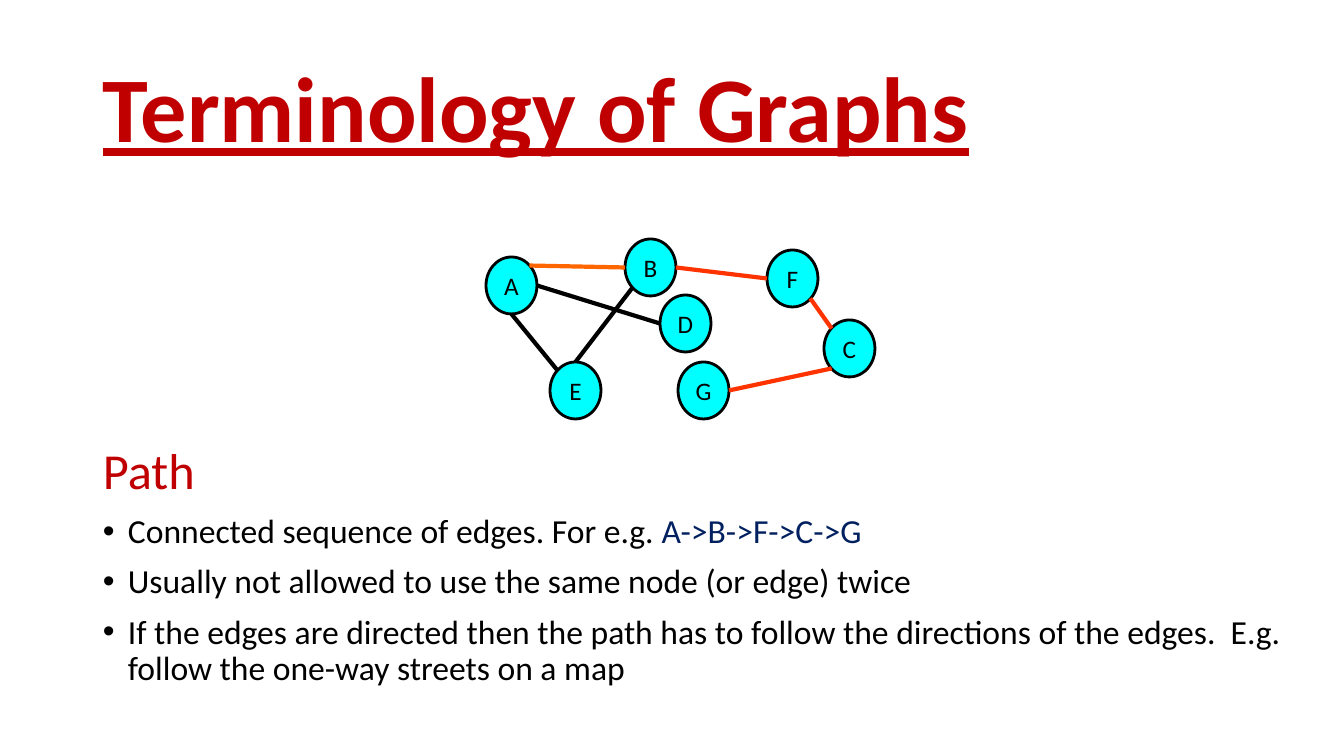
from lxml import etree
from pptx import Presentation
from pptx.dml.color import RGBColor
from pptx.enum.shapes import MSO_CONNECTOR, MSO_SHAPE
from pptx.enum.text import MSO_ANCHOR, PP_ALIGN
from pptx.oxml.ns import qn
from pptx.util import Pt

LINE = MSO_CONNECTOR.STRAIGHT
OVAL = MSO_SHAPE.OVAL
MIDDLE, TOP = MSO_ANCHOR.MIDDLE, MSO_ANCHOR.TOP
CENTER = PP_ALIGN.CENTER

FONT = "Calibri"
BLACK, RED, NAVY, CYAN = "000000", "C00000", "002060", "00FFFF"
VERMILION, ORANGE = "FF3300", "FF6600"

TITLE = "Terminology of Graphs"
HEADING = "Path"
BULLETS = [
    [("Connected sequence of edges. For e.g. ", BLACK), ("A->B->F->C->G", NAVY)],
    [("Usually not allowed to use the same node (or edge) twice", BLACK)],
    [("If the edges are directed then the path has to follow the directions of "
      "the edges.  E.g. follow the one-way streets on a map", BLACK)],
]
NODES = {  # left, top in px
    "B": (625, 239), "C": (824, 320), "D": (660, 295), "E": (550, 362),
    "F": (767, 250), "G": (678, 362), "A": (486, 257),
}
EDGES = [
    ("A", "right", "D", "left", BLACK),
    ("B", "bottom left", "E", "top", BLACK),
    ("B", "right", "F", "left", VERMILION),
    ("F", "bottom right", "C", "top left", VERMILION),
    ("A", "bottom", "E", "top left", BLACK),
    ("A", "top right", "B", "left", ORANGE),
    ("C", "bottom left", "G", "right", VERMILION),
]
NODE_WIDTH, NODE_HEIGHT = 51, 57
# Points on the rim of an oval, as shares of its width and height
RIM = {
    "left": (0, 0.5), "right": (1, 0.5), "top": (0.5, 0), "bottom": (0.5, 1),
    "top left": (0.15, 0.15), "top right": (0.85, 0.15),
    "bottom left": (0.15, 0.85), "bottom right": (0.85, 0.85),
}
BULLET_INDENT = 25


def px(length):
    return round(length * 914400 / 100.8)


def color(hex_code):
    return RGBColor.from_string(hex_code)


def set_font(font, size, hex_code):
    font.name, font.size = FONT, Pt(size)
    font.color.rgb = color(hex_code)


def add_text_box(left, top, width, height, anchor):
    box = page.shapes.add_textbox(px(left), px(top), px(width), px(height))
    box.text_frame.word_wrap = True
    box.text_frame.vertical_anchor = anchor
    return box.text_frame


def add_bullet(para):
    properties = para._p.get_or_add_pPr()
    properties.set("marL", str(px(BULLET_INDENT)))
    properties.set("indent", str(-px(BULLET_INDENT)))
    etree.SubElement(properties, qn("a:buFont")).set("typeface", "Arial")
    etree.SubElement(properties, qn("a:buChar")).set("char", "•")


def rim_point(name, side):
    left, top = NODES[name]
    across, down = RIM[side]
    return px(left + across * NODE_WIDTH), px(top + down * NODE_HEIGHT)


def add_node(name, left, top):
    node = page.shapes.add_shape(OVAL, px(left), px(top), px(NODE_WIDTH), px(NODE_HEIGHT))
    node.shadow.inherit = False
    node.fill.solid()
    node.fill.fore_color.rgb = color(CYAN)
    node.line.color.rgb = color(BLACK)
    node.line.width = Pt(2)
    frame = node.text_frame
    frame.margin_left = frame.margin_right = 0
    frame.word_wrap = False
    frame.vertical_anchor = MIDDLE
    para = frame.paragraphs[0]
    para.text = name
    para.alignment = CENTER
    set_font(para.font, 18, BLACK)


def add_edge(start, start_side, end, end_side, hex_code):
    edge = page.shapes.add_connector(
        LINE, *rim_point(start, start_side), *rim_point(end, end_side))
    edge.line.color.rgb = color(hex_code)
    edge.line.width = Pt(3)
    etree.SubElement(edge._element.spPr, qn("a:effectLst"))


deck = Presentation()
deck.slide_width, deck.slide_height = px(1344), px(756)
page = deck.slides.add_slide(deck.slide_layouts[6])

title = add_text_box(93, 40, 1159, 146, MIDDLE).paragraphs[0]
title.text = TITLE
title.line_spacing = 0.9
set_font(title.font, 66, RED)
title.font.bold = title.font.underline = True

body = add_text_box(93, 441, 1216, 293, TOP)
heading = body.paragraphs[0]
heading.text = HEADING
heading.line_spacing = 0.9
set_font(heading.font, 36, RED)
for spans in BULLETS:
    para = body.add_paragraph()
    para.line_spacing = 0.9
    para.space_before = Pt(10)
    add_bullet(para)
    para.font.name, para.font.size = FONT, Pt(24)
    for text, hex_code in spans:
        span = para.add_run()
        span.text = text
        span.font.color.rgb = color(hex_code)

for name, (left, top) in NODES.items():
    add_node(name, left, top)
for edge in EDGES:
    add_edge(*edge)

deck.save("out.pptx")
